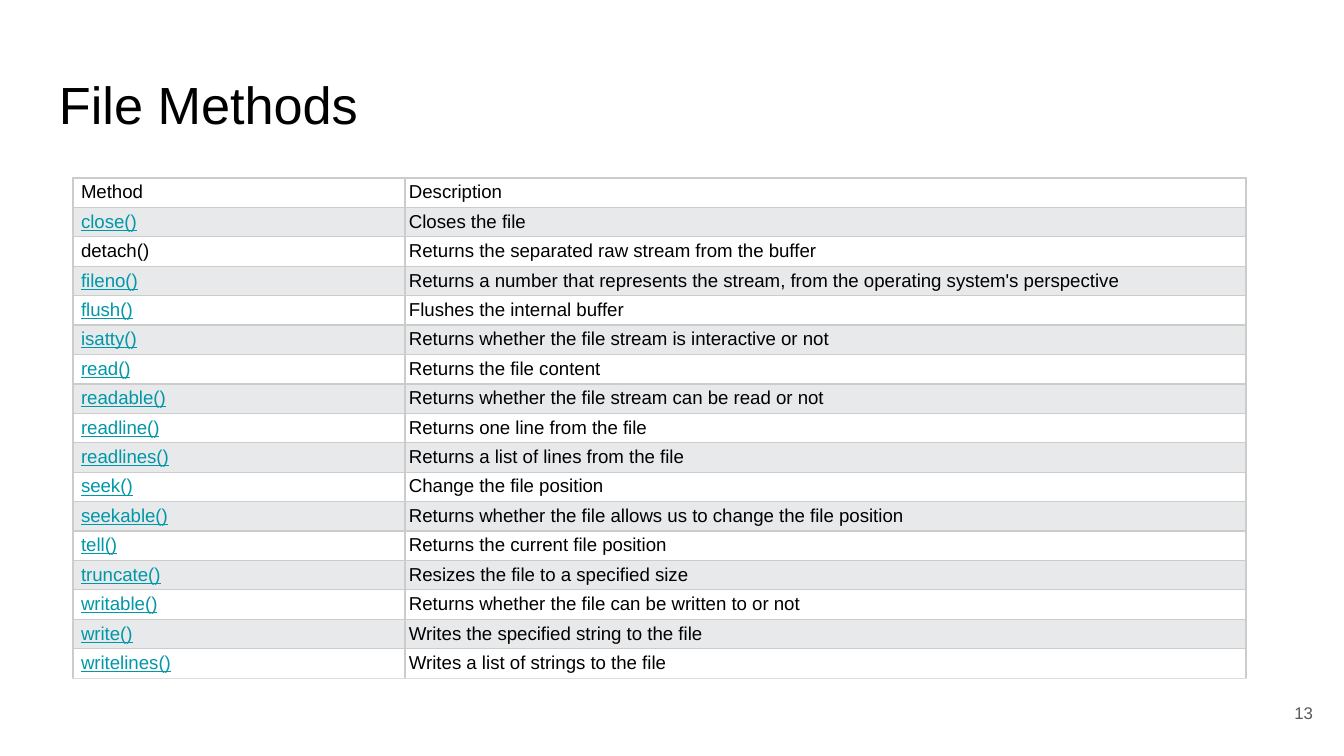
from lxml.etree import SubElement as Sub
from pptx import Presentation as Deck
from pptx.dml.color import RGBColor as RGB
from pptx.enum.text import MSO_ANCHOR as Anchor, PP_ALIGN as Align
from pptx.oxml.ns import qn
from pptx.util import Pt

ROWS = [
    ("Method", "Description"),
    ("close()", "Closes the file"),
    ("detach()", "Returns the separated raw stream from the buffer"),
    ("fileno()", "Returns a number that represents the stream, from the operating system's perspective"),
    ("flush()", "Flushes the internal buffer"),
    ("isatty()", "Returns whether the file stream is interactive or not"),
    ("read()", "Returns the file content"),
    ("readable()", "Returns whether the file stream can be read or not"),
    ("readline()", "Returns one line from the file"),
    ("readlines()", "Returns a list of lines from the file"),
    ("seek()", "Change the file position"),
    ("seekable()", "Returns whether the file allows us to change the file position"),
    ("tell()", "Returns the current file position"),
    ("truncate()", "Resizes the file to a specified size"),
    ("writable()", "Returns whether the file can be written to or not"),
    ("write()", "Writes the specified string to the file"),
    ("writelines()", "Writes a list of strings to the file"),
]
PLAIN = {"Method", "detach()"}
TEXTS = [
    ("File Methods", (46, 66, 1252, 84), 28, "000000", {"alignment": Align.LEFT}),
    ("13", (1246, 685, 80, 58), 9, "595959", {"alignment": Align.RIGHT, "space_after": Pt(6)}),
]
GRID = (73, 178, 1173, 488)
COLS = (332, 841)
BANDS = ("FFFFFF", "E7E9EB")
INK, LINK, EDGE, FOOT = "000000", "0097A7", "CCCCCC", "DDDDDD"
SIDES = ("margin_left", "margin_top", "margin_right", "margin_bottom")
SCALE = 914400 / 134.4


def px(num):
    """Turn pixels into EMU."""
    return round(num * SCALE)


def tint(code):
    """Turn a hex string into a colour."""
    return RGB.from_string(code)


def style(item, form):
    """Set each attribute named in a dict."""
    for key, val in form.items():
        setattr(item, key, val)


def write(frame, text, size, color, line=False):
    """Put one styled run into a text frame and return its paragraph."""
    para = frame.paragraphs[0]
    run = para.add_run()
    run.text = text
    style(run.font, {"name": "Arial", "size": Pt(size), "underline": line})
    run.font.color.rgb = tint(color)
    return para


def label(slide, text, box, size, color, form):
    """Add a text box centred on its middle line."""
    frame = slide.shapes.add_textbox(*map(px, box)).text_frame
    style(frame, {"word_wrap": True, "vertical_anchor": Anchor.MIDDLE})
    style(frame, dict.fromkeys(SIDES, px(13)))
    style(write(frame, text, size, color), {"line_spacing": 0.9, **form})


def border(cell, foot):
    """Draw the four edges of a cell."""
    props = cell._tc.get_or_add_tcPr()
    for side, color in zip("LRTB", (EDGE, EDGE, EDGE, foot)):
        edge = Sub(props, qn(f"a:ln{side}"), w=str(Pt(0.75)))
        Sub(Sub(edge, qn("a:solidFill")), qn("a:srgbClr"), val=color)


def table(slide):
    """Build the banded table of methods."""
    grid = slide.shapes.add_table(len(ROWS), len(COLS), *map(px, GRID)).table
    style(grid, {"first_row": False, "horz_banding": False})
    for col, width in zip(grid.columns, COLS):
        col.width = px(width)
    for i, texts in enumerate(ROWS):
        grid.rows[i].height = px(GRID[3] / len(ROWS))
        for j, text in enumerate(texts):
            cell = grid.cell(i, j)
            style(cell, dict(zip(SIDES, map(px, (4 if j else 8, 4, 4, 3)))))
            border(cell, FOOT if i == len(ROWS) - 1 else EDGE)
            cell.fill.solid()
            cell.fill.fore_color.rgb = tint(BANDS[i % 2])
            link = j == 0 and text not in PLAIN
            write(cell.text_frame, text, 10, LINK if link else INK, link)


def main():
    """Build and save the slide."""
    deck = Deck()
    style(deck, {"slide_width": px(1344), "slide_height": px(756)})
    slide = deck.slides.add_slide(deck.slide_layouts[6])
    for item in TEXTS:
        label(slide, *item)
    table(slide)
    deck.save("out.pptx")


if __name__ == "__main__":
    main()
